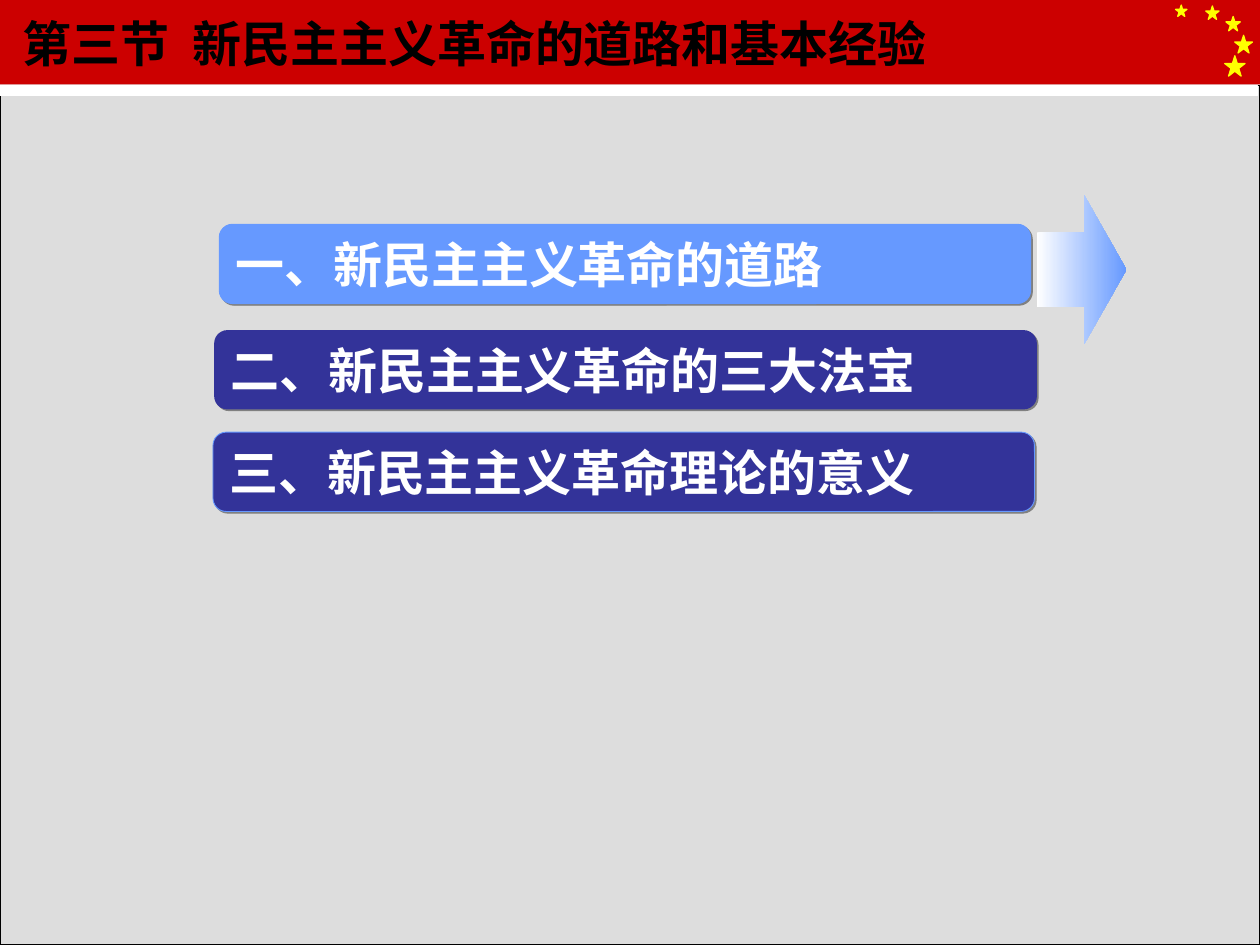
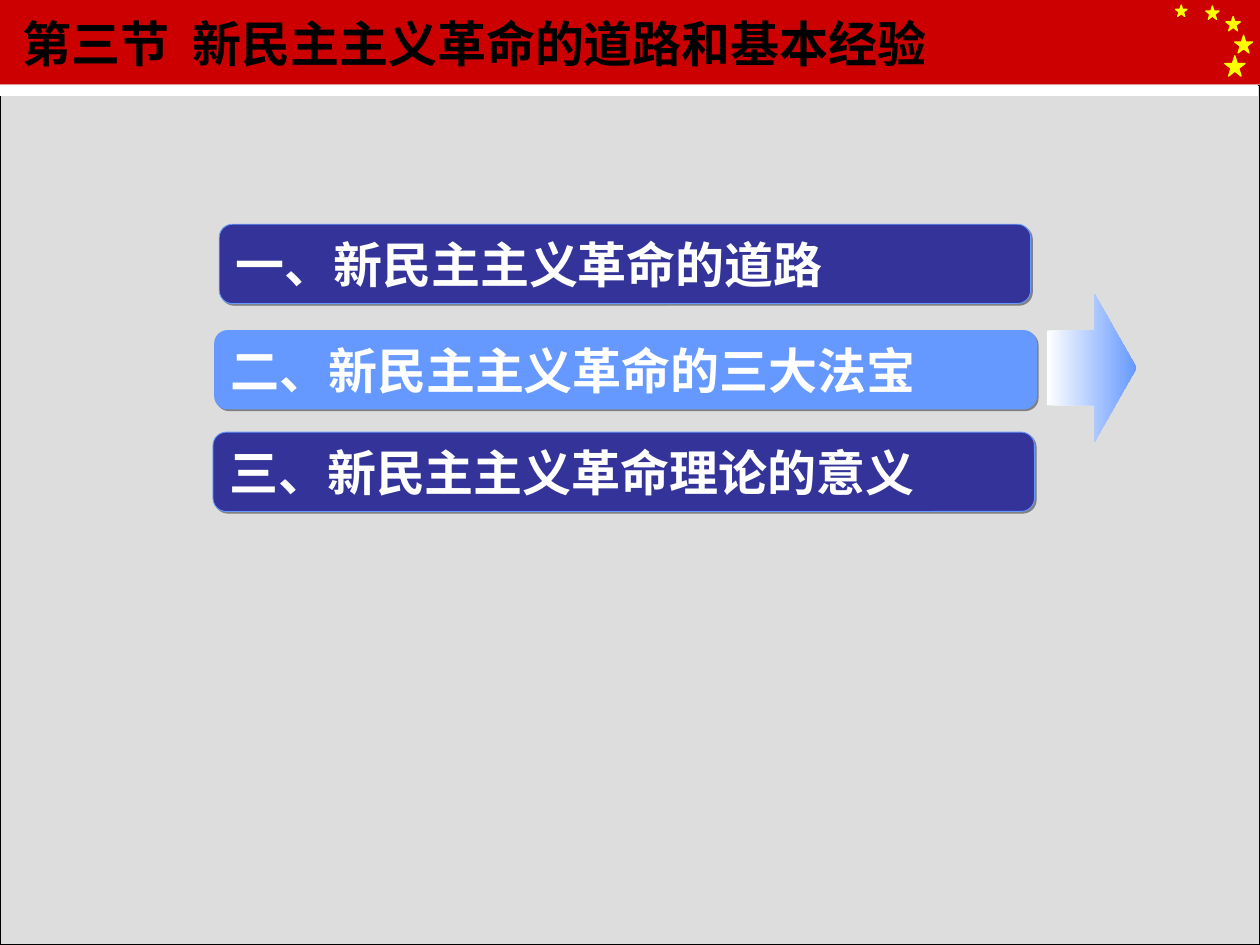
from lxml.etree import SubElement
from pptx import Presentation
from pptx.dml.color import RGBColor
from pptx.enum.shapes import MSO_SHAPE
from pptx.enum.text import MSO_ANCHOR, MSO_AUTO_SIZE, PP_ALIGN
from pptx.oxml.ns import qn
from pptx.util import Pt

# Content
TITLE_PARTS = ("第三节", "新民主主义革命的道路和基本经验")
# text, left, top, width, outlined
SECTIONS = [
    ("一、新民主主义革命的道路", 125.28, 128.16, 463.68, True),
    ("二、新民主主义革命的三大法宝", 122.4, 188.64, 470.16, False),
    ("三、新民主主义革命理论的意义", 121.68, 246.96, 469.44, True),
]
# current section, arrow left, arrow top
PAGES = [(0, 592.56, 111.6), (1, 598.32, 167.76)]

# Shared style
FONT = "Times New Roman"
TEXT_SIZE = 28
WORD_GAP = 7
WIDTH, HEIGHT = 720, 540
BAND_HEIGHT = 48.24
PANEL_TOP = 48.96
BAR_HEIGHT = 45.36
ARROW_WIDTH, ARROW_HEIGHT = 51.12, 84.96
# left, top, size
STARS = [(699.84, 31.9, 11.6), (689.04, 3.5, 7.6), (671.76, 2.9, 6.5),
         (700.56, 9.4, 8.2), (705.6, 20.2, 10.1)]
STAR_OUTLINE = [(0, 0.38), (0.38, 0.38), (0.5, 0), (0.62, 0.38), (1, 0.38),
                (0.69, 0.62), (0.81, 1), (0.5, 0.76), (0.19, 1), (0.31, 0.62)]

BLACK = RGBColor(0x00, 0x00, 0x00)
WHITE = RGBColor(0xFF, 0xFF, 0xFF)
RED = RGBColor(0xCC, 0x00, 0x00)
YELLOW = RGBColor(0xFF, 0xFF, 0x00)
BACKGROUND = RGBColor(0xEA, 0xEA, 0xEA)
PANEL = RGBColor(0xDD, 0xDD, 0xDD)
NAVY = RGBColor(0x33, 0x33, 0x99)
SKY = RGBColor(0x66, 0x99, 0xFF)


def paint(shape, fill, line=None, line_width=0.75):
    shape.shadow.inherit = False
    shape.fill.solid()
    shape.fill.fore_color.rgb = fill
    if line is None:
        shape.line.fill.background()
    else:
        shape.line.color.rgb = line
        shape.line.width = Pt(line_width)


def add_block(page, kind, left, top, width, height):
    return page.shapes.add_shape(kind, Pt(left), Pt(top), Pt(width), Pt(height))


def add_span(para, text, color):
    span = para.add_run()
    span.text = text
    span.font.name = FONT
    span.font.size = Pt(TEXT_SIZE)
    span.font.bold = True
    span.font.color.rgb = color
    return span


def add_star(page, left, top, size):
    points = [(Pt(left + x * size), Pt(top + y * size)) for x, y in STAR_OUTLINE]
    builder = page.shapes.build_freeform(*points[0])
    builder.add_line_segments(points[1:], close=True)
    paint(builder.convert_to_shape(), YELLOW, YELLOW)


def add_frame(page):
    page.background.fill.solid()
    page.background.fill.fore_color.rgb = BACKGROUND
    rect = MSO_SHAPE.RECTANGLE
    paint(add_block(page, rect, 0, 0, WIDTH, BAND_HEIGHT), RED)
    for star in STARS:
        add_star(page, *star)
    paint(add_block(page, rect, 0, PANEL_TOP, WIDTH, HEIGHT - PANEL_TOP), PANEL, BLACK)
    paint(add_block(page, rect, 0, PANEL_TOP, 718.56, 5.76), WHITE, WHITE)


def add_title(page):
    box = page.shapes.add_textbox(Pt(5.76), 0, Pt(563.76), Pt(PANEL_TOP))
    frame = box.text_frame
    frame.word_wrap = True
    frame.vertical_anchor = MSO_ANCHOR.MIDDLE
    para = frame.paragraphs[0]
    chapter, subject = TITLE_PARTS
    add_span(para, chapter, BLACK)
    # The space between the parts is widened by character spacing
    gap = add_span(para, " ", BLACK)
    gap.font._element.set("spc", str(WORD_GAP * 100))
    add_span(para, subject, BLACK)


def add_drop_shadow(shape):
    effects = shape._element.spPr.find(qn("a:effectLst"))
    shadow = SubElement(effects, qn("a:outerShdw"), dist=str(Pt(1.4)),
                        dir="2700000", algn="ctr", rotWithShape="0")
    SubElement(shadow, qn("a:srgbClr"), val="808080")


def add_bar(page, section, current):
    text, left, top, width, outlined = section
    bar = add_block(page, MSO_SHAPE.ROUNDED_RECTANGLE, left, top, width, BAR_HEIGHT)
    bar.adjustments[0] = 0.167
    paint(bar, SKY if current else NAVY, SKY if outlined else None, 0.5)
    add_drop_shadow(bar)
    frame = bar.text_frame
    frame.word_wrap = True
    frame.auto_size = MSO_AUTO_SIZE.SHAPE_TO_FIT_TEXT
    frame.vertical_anchor = MSO_ANCHOR.MIDDLE
    para = frame.paragraphs[0]
    para.alignment = PP_ALIGN.LEFT
    add_span(para, text, WHITE)


def add_arrow(page, left, top):
    arrow = add_block(page, MSO_SHAPE.RIGHT_ARROW, left, top, ARROW_WIDTH, ARROW_HEIGHT)
    arrow.adjustments[0] = 0.5
    arrow.adjustments[1] = 0.471
    arrow.shadow.inherit = False
    arrow.line.fill.background()
    arrow.fill.gradient()
    arrow.fill.gradient_angle = 0
    for stop, position, color in zip(arrow.fill.gradient_stops, (0, 1), (WHITE, SKY)):
        stop.position = position
        stop.color.rgb = color


def main():
    deck = Presentation()
    deck.slide_width, deck.slide_height = Pt(WIDTH), Pt(HEIGHT)
    for current, arrow_left, arrow_top in PAGES:
        page = deck.slides.add_slide(deck.slide_layouts[6])
        add_frame(page)
        add_title(page)
        for index, section in enumerate(SECTIONS):
            add_bar(page, section, index == current)
        add_arrow(page, arrow_left, arrow_top)
    deck.save("out.pptx")


if __name__ == "__main__":
    main()
